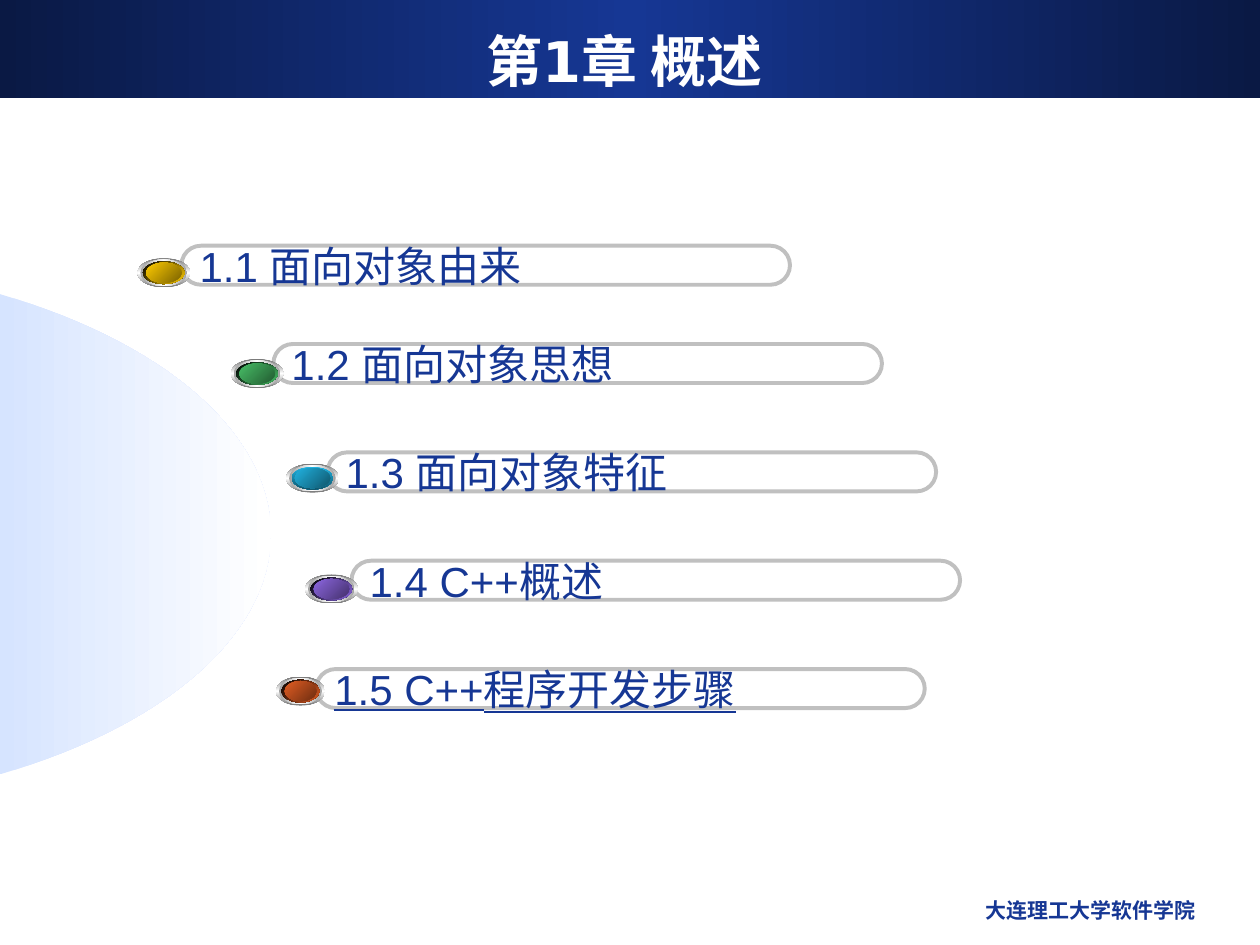
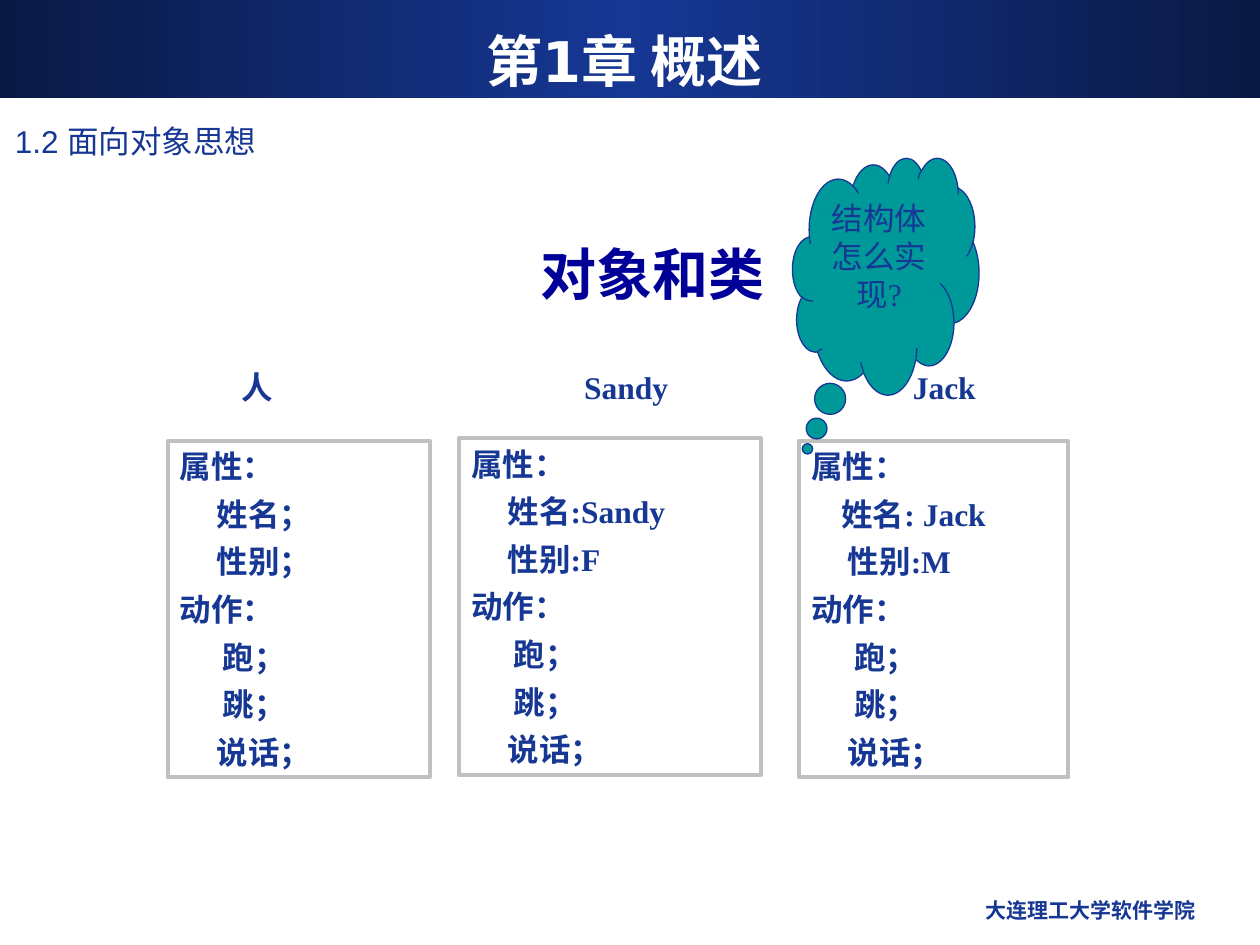
from math import cos, pi, sin

from lxml.etree import SubElement
from pptx import Presentation
from pptx.dml.color import RGBColor
from pptx.enum.shapes import MSO_SHAPE as SHAPE
from pptx.enum.text import MSO_ANCHOR as ANCHOR, MSO_AUTO_SIZE as AUTO_SIZE, PP_ALIGN as ALIGN
from pptx.oxml.ns import qn
from pptx.util import Inches, Pt

BLUE = RGBColor(0x16, 0x37, 0x94)
NIGHT = RGBColor(0x0A, 0x19, 0x44)
NAVY = RGBColor(0x00, 0x00, 0x99)
PALE = RGBColor(0xD6, 0xE4, 0xFF)
TEAL = RGBColor(0x00, 0x99, 0x99)
WHITE = RGBColor(0xFF, 0xFF, 0xFF)
BLACK = RGBColor(0x00, 0x00, 0x00)
SILVER = RGBColor(0xC0, 0xC0, 0xC0)
STEEL = RGBColor(0x76, 0x76, 0x76)
GREY = RGBColor(0xA2, 0xA2, 0xA2)
GOLD, DARK_GOLD = RGBColor(0xFF, 0xCC, 0x00), RGBColor(0x7C, 0x63, 0x00)
GREEN, DARK_GREEN = RGBColor(0x48, 0xBE, 0x67), RGBColor(0x23, 0x5C, 0x32)
CYAN, DARK_CYAN = RGBColor(0x21, 0xB3, 0xE1), RGBColor(0x10, 0x57, 0x6D)
VIOLET, DARK_VIOLET = RGBColor(0x8D, 0x67, 0xE1), RGBColor(0x45, 0x32, 0x6D)
ORANGE, DARK_ORANGE = RGBColor(0xE3, 0x5E, 0x23), RGBColor(0x6E, 0x2E, 0x11)

SANS, HEADING, SERIF = "Arial", "DejaVu Sans", "Times New Roman"


def paint_gradient(shape, angle, colours):
    shape.shadow.inherit = False
    shape.line.fill.background()
    shape.fill.gradient()
    shape.fill.gradient_angle = (360 - angle) % 360
    stops = shape._element.spPr.find(qn("a:gradFill")).find(qn("a:gsLst"))
    for stop in list(stops):
        stops.remove(stop)
    for index, colour in enumerate(colours):
        position = 100000 * index // (len(colours) - 1)
        stop = SubElement(stops, qn("a:gs"), pos=str(position))
        SubElement(stop, qn("a:srgbClr"), val=str(colour))


def write(shape, text, size, font, colour=BLUE, bold=False, align=ALIGN.LEFT, anchor=ANCHOR.TOP):
    frame = shape.text_frame
    frame.text = text
    frame.word_wrap = True
    frame.auto_size = AUTO_SIZE.NONE
    frame.vertical_anchor = anchor
    for para in frame.paragraphs:
        para.alignment = align
        for span in para.runs:
            span.font.size = Pt(size)
            span.font.name = font
            span.font.bold = bold
            span.font.color.rgb = colour


deck = Presentation()
deck.slide_width, deck.slide_height = Inches(10), Inches(7.5)
layout = deck.slide_layouts[5]
outline_page, class_page = [deck.slides.add_slide(layout) for _ in range(2)]

band = outline_page.shapes.add_shape(SHAPE.RECTANGLE, 0, 0, Inches(10), Inches(0.78))
paint_gradient(band, 0, [NIGHT, BLUE, NIGHT])
layout.shapes._spTree.insert(2, band._element)

for page in deck.slides:
    title = page.shapes.title
    title.left, title.top = Inches(0.33), Inches(0.17)
    title.width, title.height = Inches(9.25), Inches(0.62)
    write(title, "第1章 概述", 32, HEADING, WHITE, True, ALIGN.CENTER, ANCHOR.MIDDLE)
    footer = page.shapes.add_textbox(Inches(6.42), Inches(7.07), Inches(3.17), Inches(0.35))
    write(footer, "大连理工大学软件学院", 12, HEADING, bold=True, align=ALIGN.RIGHT)

arc = []
for step in range(61):
    angle = -pi / 3 + step * pi / 90
    arc.append((Inches(4.3 * cos(angle) - 2.15), Inches(4.24 + 2.2 * sin(angle))))
builder = outline_page.shapes.build_freeform(*arc[0])
builder.add_line_segments(arc[1:], close=True)
paint_gradient(builder.convert_to_shape(), 0, [PALE, WHITE])

sections = [
    ("1.1 面向对象由来", 1.44, 1.95, 1.09, 2.05, 0.42, GOLD, DARK_GOLD),
    ("1.2 面向对象思想", 2.17, 2.73, 1.83, 2.85, 0.42, GREEN, DARK_GREEN),
    ("1.3 面向对象特征", 2.6, 3.59, 2.27, 3.68, 0.42, CYAN, DARK_CYAN),
    ("1.4 C++概述", 2.79, 4.45, 2.42, 4.56, 0.42, VIOLET, DARK_VIOLET),
    ("1.5 C++程序开发步骤", 2.51, 5.31, 2.19, 5.37, 0.39, ORANGE, DARK_ORANGE),
]
for text, left, top, orb_left, orb_top, orb_width, colour, dark in sections:
    pill = outline_page.shapes.add_shape(
        SHAPE.ROUNDED_RECTANGLE, Inches(left), Inches(top), Inches(4.83), Inches(0.31))
    pill.adjustments[0] = 0.5
    pill.shadow.inherit = False
    pill.fill.background()
    pill.line.color.rgb = SILVER
    pill.line.width = Pt(2.25)
    write(pill, text, 24, SANS, anchor=ANCHOR.MIDDLE)
    pill.text_frame.paragraphs[0].runs[0].font.underline = text.startswith("1.5")

    socket = (90, [CYAN, DARK_CYAN]) if colour == CYAN else (45, [BLACK, colour])
    layers = [
        (0, 0, 90, [STEEL, WHITE, STEEL]),
        (0.025, 0.01, 0, [GREY, WHITE, GREY]),
        (0.045, 0.025, *socket),
        (0.07, 0.035, 45, [colour, dark]),
    ]
    orb = outline_page.shapes.add_group_shape()
    for inset_x, inset_y, angle, colours in layers:
        disc = orb.shapes.add_shape(
            SHAPE.OVAL, Inches(orb_left + inset_x), Inches(orb_top + inset_y),
            Inches(orb_width - 2 * inset_x), Inches(0.23 - 2 * inset_y))
        paint_gradient(disc, angle, colours)

section = class_page.shapes.add_textbox(Inches(0.02), Inches(0.92), Inches(9.25), Inches(0.41))
write(section, "1.2 面向对象思想", 18, SANS)
topic = class_page.shapes.add_textbox(Inches(1.68), Inches(1.5), Inches(7), Inches(1.33))
write(topic, "对象和类", 32, HEADING, NAVY, True, ALIGN.CENTER, ANCHOR.MIDDLE)

cards = [
    ("人", 0.63, 2.83, 1.33, 3.5, 2.08, "姓名；", "性别；", 0.29),
    ("Sandy", 3.46, 3.02, 3.64, 3.48, 2.4, "姓名:Sandy", "性别:F", 0.29),
    ("Jack", 5.98, 3.03, 6.34, 3.5, 2.14, "姓名: Jack", "性别:M", 0.24),
]
for name, label_left, label_width, left, top, width, name_line, sex_line, name_indent in cards:
    card = class_page.shapes.add_shape(
        SHAPE.RECTANGLE, Inches(left), Inches(top), Inches(width), Inches(2.67))
    card.shadow.inherit = False
    card.fill.background()
    card.line.color.rgb = SILVER
    card.line.width = Pt(2.25)
    lines = ["属性：", name_line, sex_line, "动作：", "跑；", "跳；", "说话；"]
    write(card, "\n".join(lines), 18, SERIF, bold=True)
    indents = [0, name_indent, 0.29, 0, 0.34, 0.34, 0.29]
    for para, indent in zip(card.text_frame.paragraphs, indents):
        para.space_before = Pt(5.6)
        para._p.get_or_add_pPr().set("marL", str(Inches(indent)))
    label = class_page.shapes.add_textbox(
        Inches(label_left), Inches(2.87), Inches(label_width), Inches(0.4))
    write(label, name, 18, SERIF, bold=True, align=ALIGN.CENTER)

cloud = class_page.shapes.add_shape(
    SHAPE.CLOUD_CALLOUT, Inches(6.29), Inches(1.25), Inches(1.48), Inches(1.88))
cloud.adjustments[0], cloud.adjustments[1] = -0.42, 0.73
cloud.shadow.inherit = False
cloud.fill.solid()
cloud.fill.fore_color.rgb = TEAL
cloud.line.color.rgb = BLUE
cloud.line.width = Pt(0.75)
write(cloud, "结构体怎么实现?", 18, SERIF, align=ALIGN.CENTER)

deck.save("out.pptx")
